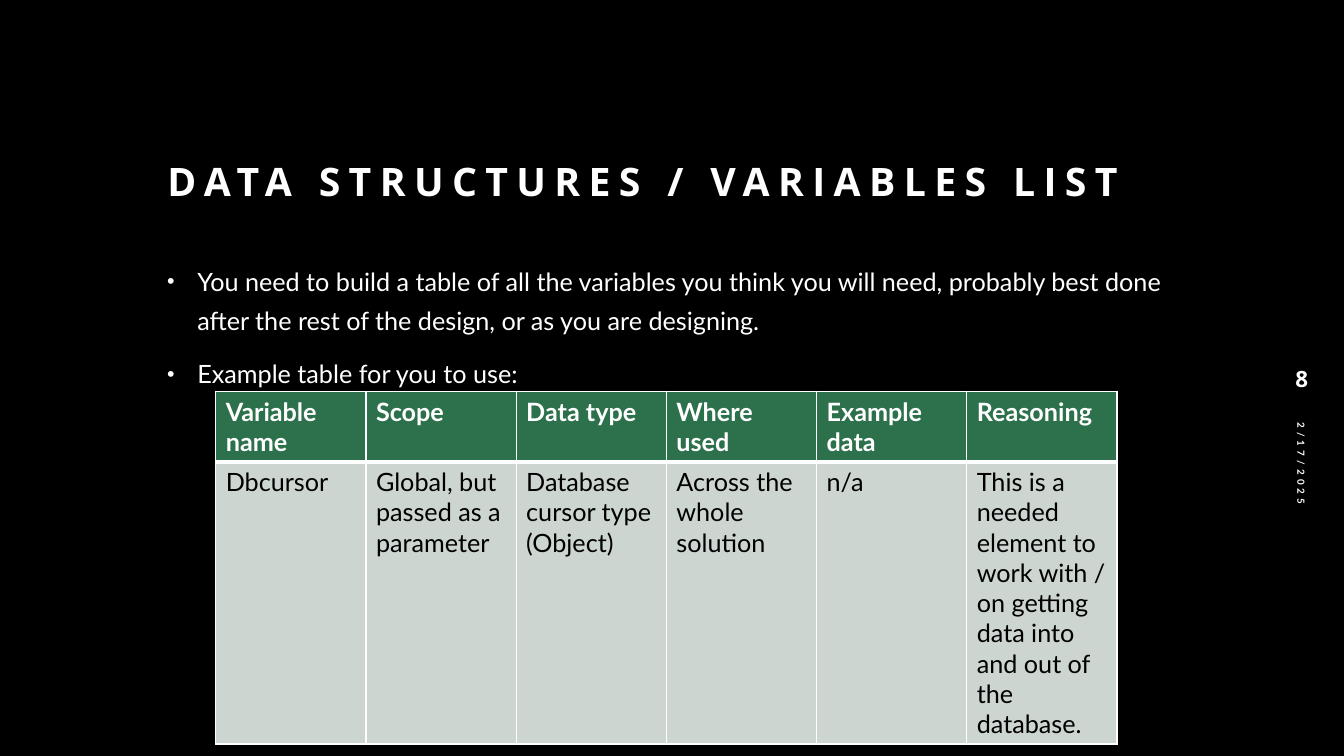
from dataclasses import dataclass

from lxml import etree
from pptx import Presentation
from pptx.dml.color import RGBColor
from pptx.enum import text
from pptx.oxml import ns
from pptx.util import Pt


@dataclass(frozen=True)
class Theme:
    background: RGBColor = RGBColor.from_string("000000")
    light: RGBColor = RGBColor.from_string("FFFFFF")
    dark: RGBColor = RGBColor.from_string("000000")
    header_fill: RGBColor = RGBColor.from_string("2D714C")
    body_fill: RGBColor = RGBColor.from_string("CDD5D0")
    heading_font: str = "Open Sans"
    body_font: str = "Lato"
    title_size: int = 28
    body_size: int = 18
    number_size: int = 16
    date_size: int = 7


theme = Theme()


def write(para, words, size=theme.body_size, font=theme.body_font,
          color=theme.light, bold=False, tracking=0):
    """Add words to a paragraph; size and tracking are in points."""
    span = para.add_run()
    span.text = words
    span.font.size = Pt(size)
    span.font.name = font
    span.font.color.rgb = color
    span.font.bold = bold
    if tracking:
        span._r.get_or_add_rPr().set("spc", str(tracking * 100))


def add_border(cell, side, width):
    properties = cell._tc.get_or_add_tcPr()
    line = etree.SubElement(properties, ns.qn(f"a:ln{side}"), w=str(Pt(width)))
    fill = etree.SubElement(line, ns.qn("a:solidFill"))
    etree.SubElement(fill, ns.qn("a:srgbClr"), val=str(theme.light))


deck = Presentation()
deck.slide_width, deck.slide_height = Pt(960), Pt(540)
page = deck.slides.add_slide(deck.slide_layouts[5])
page.background.fill.solid()
page.background.fill.fore_color.rgb = theme.background

# Title
title = page.shapes.title
title.left, title.top, title.width, title.height = Pt(112.3), Pt(82.1), Pt(727.2), Pt(67.7)
title.text_frame.auto_size = text.MSO_AUTO_SIZE.NONE
title.text_frame.vertical_anchor = text.MSO_ANCHOR.BOTTOM
para = title.text_frame.paragraphs[0]
para.alignment = text.PP_ALIGN.LEFT
para.line_spacing = 1.2
write(para, "DATA STRUCTURES / VARIABLES LIST", size=theme.title_size,
      font=theme.heading_font, bold=True, tracking=6)

# Bullets
bullets = [
    "You need to build a table of all the variables you think you will need, "
    "probably best done after the rest of the design, or as you are designing.",
    "Example table for you to use:",
]
box = page.shapes.add_textbox(Pt(112.3), Pt(180), Pt(727.2), Pt(300.2))
box.text_frame.word_wrap = True
for index, bullet in enumerate(bullets):
    para = box.text_frame.add_paragraph() if index else box.text_frame.paragraphs[0]
    para.line_spacing = 1.3
    para.space_before = Pt(10)
    properties = para._p.get_or_add_pPr()
    properties.set("marL", str(Pt(21.6)))
    properties.set("indent", str(-Pt(21.6)))
    etree.SubElement(properties, ns.qn("a:buSzPct"), val="85000")
    etree.SubElement(properties, ns.qn("a:buFont"), typeface="Arial")
    etree.SubElement(properties, ns.qn("a:buChar"), char="•")
    write(para, bullet)

# Date and page number
date_box = page.shapes.add_textbox(Pt(824.4), Pt(385.2), Pt(210.2), Pt(28.8))
date_box.rotation = 90
number_box = page.shapes.add_textbox(Pt(905), Pt(253.4), Pt(49.7), Pt(33.8))
for box in (date_box, number_box):
    box.text_frame.word_wrap = True
    box.text_frame.vertical_anchor = text.MSO_ANCHOR.MIDDLE
write(date_box.text_frame.paragraphs[0], "2/17/2025", size=theme.date_size,
      bold=True, tracking=3)
para = number_box.text_frame.paragraphs[0]
para.alignment = text.PP_ALIGN.CENTER
write(para, "8", size=theme.number_size, font=theme.heading_font, bold=True)

# Variables table
variables = [
    ["Variable name", "Scope", "Data type", "Where used", "Example data", "Reasoning"],
    ["Dbcursor", "Global, but passed as a parameter", "Database cursor type (Object)",
     "Across the whole solution", "n/a",
     "This is a needed element to work with / on getting data into and out of the database."],
]
column_width, row_height = 107.3, 29.5
column_count = len(variables[0])
table = page.shapes.add_table(
    len(variables), column_count, Pt(154.1), Pt(279.4),
    Pt(column_width * column_count), Pt(row_height * len(variables))).table
for column in table.columns:
    column.width = Pt(column_width)
for row_index, row in enumerate(variables):
    is_header = row_index == 0
    for column_index, words in enumerate(row):
        cell = table.cell(row_index, column_index)
        top, bottom = (1, 3) if is_header else (3, 1)
        for side, width in (("L", 1), ("R", 1), ("T", top), ("B", bottom)):
            add_border(cell, side, width)
        cell.fill.solid()
        cell.fill.fore_color.rgb = theme.header_fill if is_header else theme.body_fill
        write(cell.text_frame.paragraphs[0], words, bold=is_header,
              color=theme.light if is_header else theme.dark)

deck.save("out.pptx")
